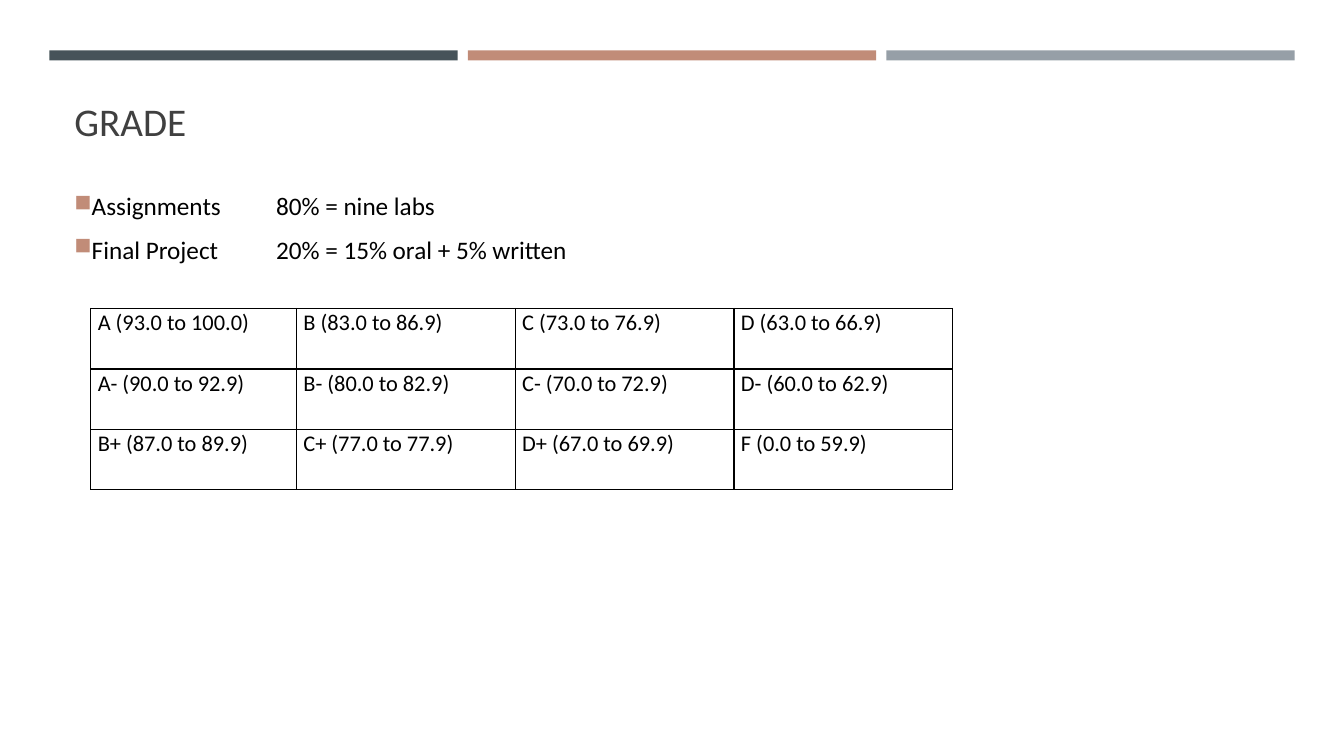
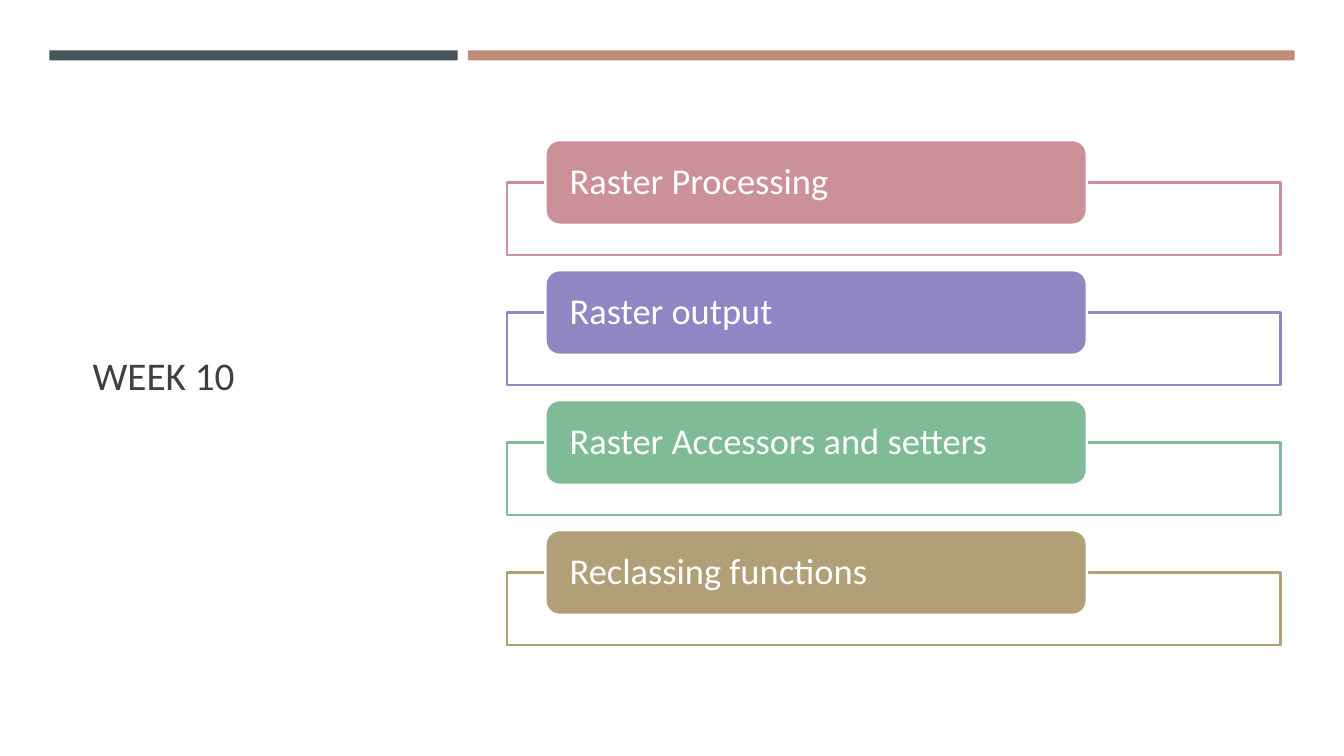
from dataclasses import dataclass

from lxml.etree import SubElement
from pptx import Presentation
from pptx.dml.color import RGBColor
from pptx.enum.shapes import MSO_SHAPE
from pptx.enum.text import MSO_ANCHOR
from pptx.oxml.ns import qn
from pptx.util import Inches, Pt


@dataclass(frozen=True)
class Theme:
    font: str = "Calibri"
    dark: str = "465359"
    clay: str = "C18C78"
    steel: str = "969FA7"
    title: str = "404040"
    ink: str = "000000"
    paper: str = "FFFFFF"
    rose: str = "CC9099"
    violet: str = "8F87C4"
    green: str = "7FBB97"
    sand: str = "B19F77"
    title_size: float = 28
    body_size: float = 18
    cell_size: float = 16
    topic_size: float = 26


THEME = Theme()

GRADES = [
    ["A (93.0 to 100.0)", "B (83.0 to 86.9)", "C (73.0 to 76.9)", "D (63.0 to 66.9)"],
    ["A- (90.0 to 92.9)", "B- (80.0 to 82.9)", "C- (70.0 to 72.9)", "D- (60.0 to 62.9)"],
    ["B+ (87.0 to 89.9)", "C+ (77.0 to 77.9)", "D+ (67.0 to 69.9)", "F (0.0 to 59.9)"],
]
WEIGHTS = [
    "Assignments\t80% = nine labs",
    "Final Project\t20% = 15% oral + 5% written",
]
TOPICS = [
    ("Raster Processing", THEME.rose),
    ("Raster output", THEME.violet),
    ("Raster Accessors and setters", THEME.green),
    ("Reclassing functions", THEME.sand),
]


def rgb(code):
    return RGBColor.from_string(code)


def add_run(para, text, size, color):
    run = para.add_run()
    run.text = text
    run.font.name = THEME.font
    run.font.size = Pt(size)
    run.font.color.rgb = rgb(color)


def add_box(slide, kind, left, top, width, height, fill, line=None):
    box = slide.shapes.add_shape(
        kind, Inches(left), Inches(top), Inches(width), Inches(height))
    box.shadow.inherit = False
    box.fill.solid()
    box.fill.fore_color.rgb = rgb(fill)
    if line:
        box.line.color.rgb = rgb(line)
        box.line.width = Pt(1.75)
    else:
        box.line.fill.background()
    return box


def add_frame(slide, left, top, width, height, anchor):
    box = slide.shapes.add_textbox(
        Inches(left), Inches(top), Inches(width), Inches(height))
    frame = box.text_frame
    frame.word_wrap = True
    frame.vertical_anchor = anchor
    return frame


def add_title(slide, text, left, top, width, height, anchor):
    frame = add_frame(slide, left, top, width, height, anchor)
    add_run(frame.paragraphs[0], text, THEME.title_size, THEME.title)


def add_bands(slide, *bands):
    """Draw the top bands, each given as a colour and the columns it spans."""
    left, width, gap = 0.49, 4.05, 0.1
    for color, span in bands:
        length = span * width + (span - 1) * gap
        add_box(slide, MSO_SHAPE.RECTANGLE, left, 0.5, length, 0.1, color)
        left += length + gap


def set_bullet(para, tab):
    """Give a square bullet, and one tab stop for the second column."""
    props = para._p.get_or_add_pPr()
    props.set("marL", "0")
    props.set("indent", "0")
    color = SubElement(props, qn("a:buClr"))
    SubElement(color, qn("a:srgbClr"), val=THEME.clay)
    SubElement(props, qn("a:buSzPct"), val="92000")
    SubElement(props, qn("a:buChar"), char="■")
    tabs = SubElement(props, qn("a:tabLst"))
    SubElement(tabs, qn("a:tab"), pos=str(Inches(tab)), algn="l")


def add_list(slide, lines, left, top, width, height):
    frame = add_frame(slide, left, top, width, height, MSO_ANCHOR.TOP)
    for index, line in enumerate(lines):
        para = frame.add_paragraph() if index else frame.paragraphs[0]
        para.space_after = Pt(9.6)
        set_bullet(para, 2)
        add_run(para, line, THEME.body_size, THEME.ink)


def set_border(cell):
    props = cell._tc.get_or_add_tcPr()
    for side in ("a:lnL", "a:lnR", "a:lnT", "a:lnB"):
        line = SubElement(props, qn(side), w=str(Pt(1)))
        fill = SubElement(line, qn("a:solidFill"))
        SubElement(fill, qn("a:srgbClr"), val=THEME.ink)


def fill_cell(cell, text):
    set_border(cell)
    cell.fill.background()
    cell.margin_left = cell.margin_right = Inches(0.07)
    cell.margin_top = cell.margin_bottom = 0
    para = cell.text_frame.paragraphs[0]
    para.line_spacing = 1.03
    add_run(para, text, THEME.cell_size, THEME.ink)


def add_grid(slide, rows, left, top, widths, height):
    table = slide.shapes.add_table(
        len(rows), len(widths), Inches(left), Inches(top),
        Inches(sum(widths)), Inches(height * len(rows))).table
    table.first_row = table.horz_banding = False
    for column, width in zip(table.columns, widths):
        column.width = Inches(width)
    for row, texts in zip(table.rows, rows):
        row.height = Inches(height)
        for cell, text in zip(row.cells, texts):
            fill_cell(cell, text)


def add_topic(slide, text, color, top):
    """Draw an outlined box with a filled label over its upper edge."""
    add_box(slide, MSO_SHAPE.RECTANGLE, 5.03, top + 0.42, 7.67, 0.72,
            THEME.paper, color)
    label = add_box(slide, MSO_SHAPE.ROUNDED_RECTANGLE, 5.41, top, 5.37, 0.84,
                    color, THEME.paper)
    frame = label.text_frame
    frame.word_wrap = True
    frame.vertical_anchor = MSO_ANCHOR.MIDDLE
    frame.margin_left = frame.margin_right = Inches(0.2)
    frame.margin_top = frame.margin_bottom = 0
    para = frame.paragraphs[0]
    para.line_spacing = 0.9
    para.alignment = 1
    add_run(para, text, THEME.topic_size, THEME.paper)


def build_grade(slide):
    add_bands(slide, (THEME.dark, 1), (THEME.clay, 1), (THEME.steel, 1))
    add_title(slide, "GRADE", 0.64, 0.77, 12.06, 0.71, MSO_ANCHOR.BOTTOM)
    add_list(slide, WEIGHTS, 0.64, 1.84, 12.06, 1)
    add_grid(slide, GRADES, 0.9, 3.06, [2.04, 2.17, 2.17, 2.17], 0.6)


def build_week(slide):
    add_bands(slide, (THEME.dark, 1), (THEME.clay, 2))
    add_title(slide, "WEEK 10", 0.82, 1.14, 3.34, 5.15, MSO_ANCHOR.MIDDLE)
    for index, (text, color) in enumerate(TOPICS):
        add_topic(slide, text, color, 1.39 + 1.29 * index)


def main():
    deck = Presentation()
    deck.slide_width, deck.slide_height = Inches(13.33), Inches(7.5)
    for build in (build_grade, build_week):
        build(deck.slides.add_slide(deck.slide_layouts[6]))
    deck.save("out.pptx")


if __name__ == "__main__":
    main()
